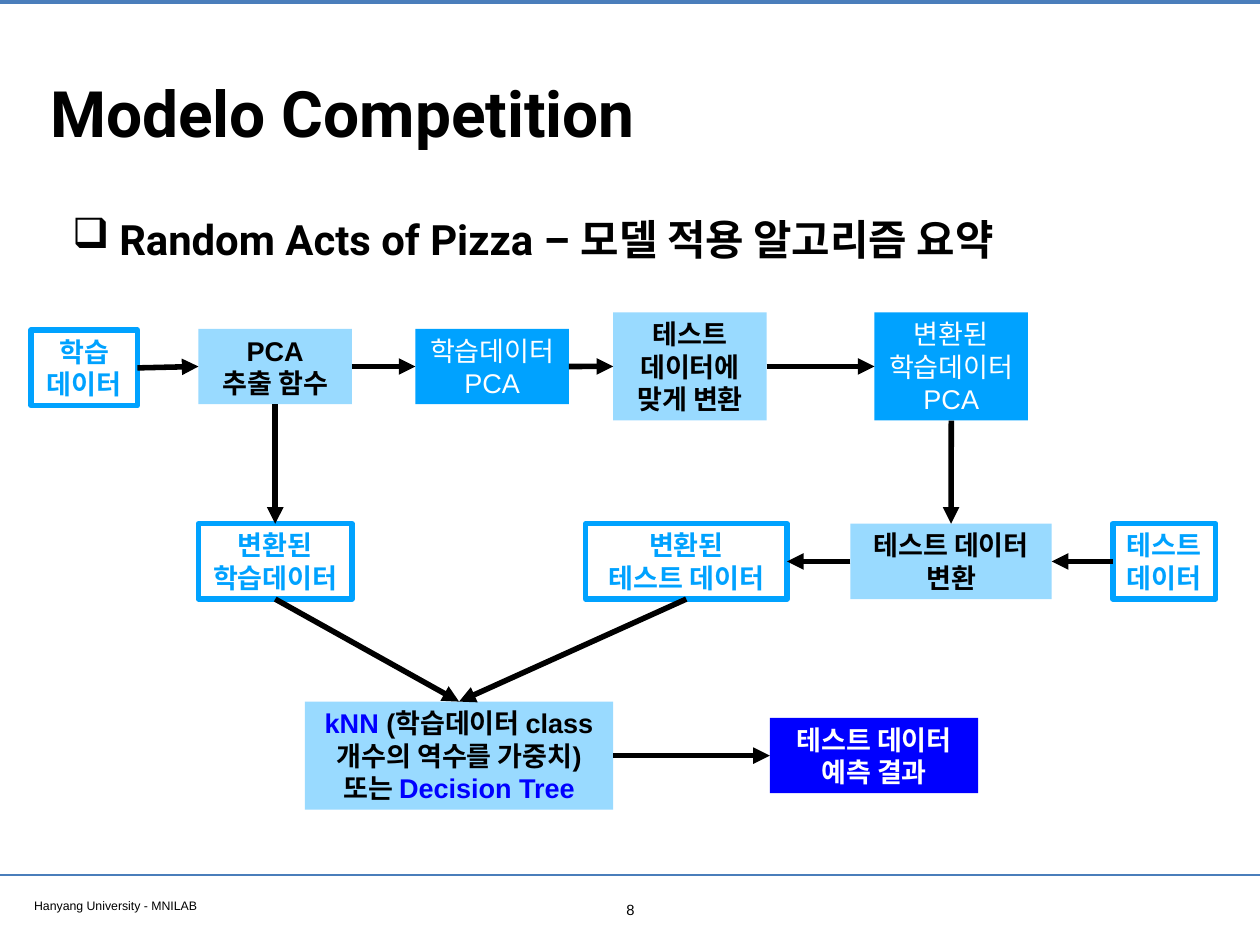
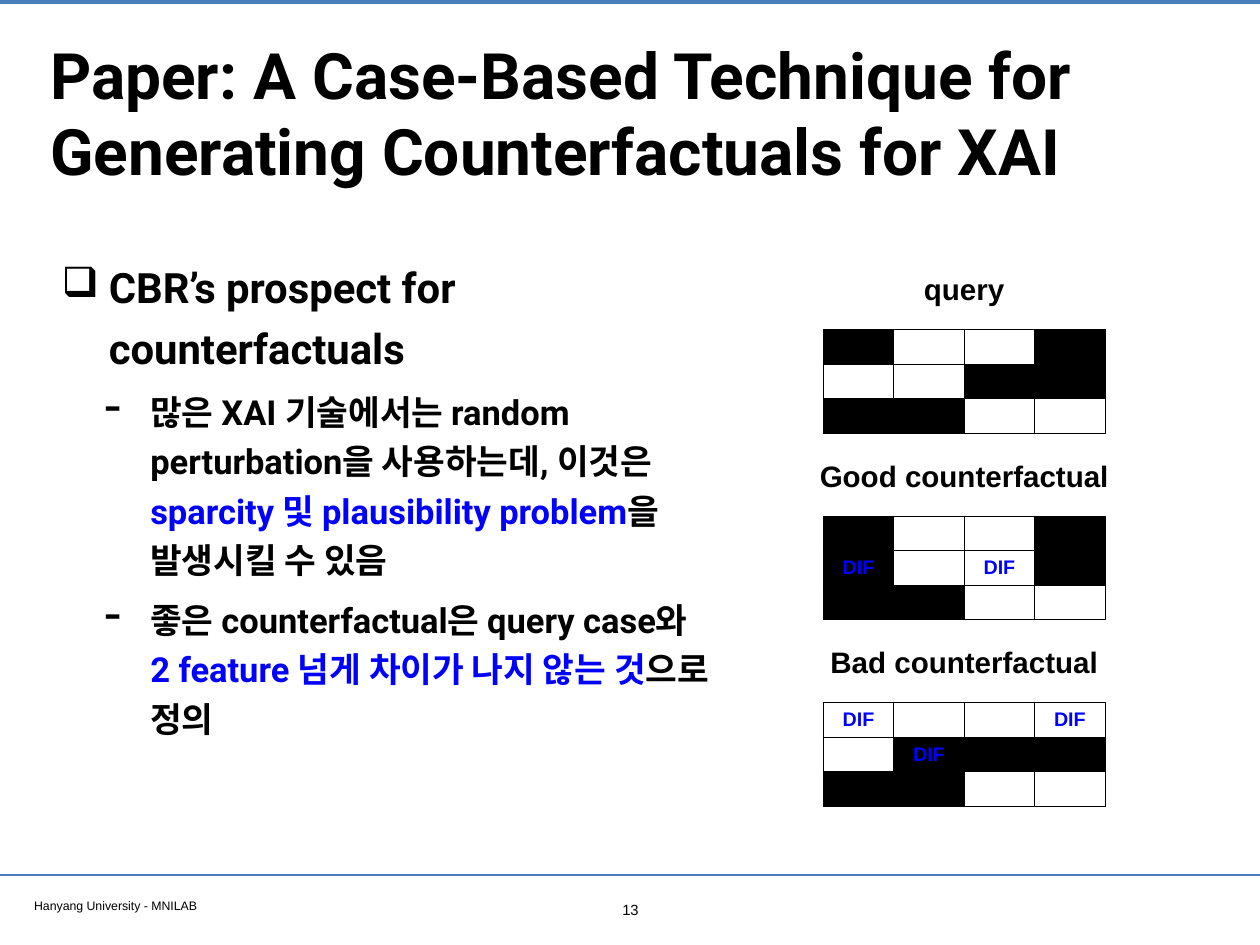
"""Build two lecture slides: a flow chart of a model and a counterfactual comparison."""
from typing import NamedTuple

from lxml.etree import SubElement
from pptx import Presentation
from pptx.dml.color import RGBColor
from pptx.enum.shapes import MSO_CONNECTOR as Connector, MSO_SHAPE as Preset
from pptx.enum.text import MSO_ANCHOR as Anchor, PP_ALIGN as Align
from pptx.oxml.ns import qn
from pptx.util import Cm, Pt

WIDTH, HEIGHT = 36.12, 27.1
INSET = 0.14
BLACK, WHITE, BLUE = "000000", "FFFFFF", "0000FF"
SKY, PALE, RULE = "00A2FF", "99DAFF", "4A7EBB"
BODY_FONT, LABEL_FONT = "Roboto", "Arial"
TOP, LEFT, BOTTOM, RIGHT = range(4)


class Style(NamedTuple):
    fill: str
    color: str
    bold: bool = True
    outline: str | None = None


class Box(NamedTuple):
    name: str
    text: str
    style: Style
    left: float
    middle: float
    width: float
    height: float = 2.16


class Arrow(NamedTuple):
    start: str
    start_side: int
    end: str
    end_side: int


class Bullet(NamedTuple):
    char: str
    margin: float
    hang: float
    percent: int = 100


class Grid(NamedTuple):
    label: str
    rows: tuple[str, ...]


DATA = Style(WHITE, SKY, outline=SKY)
STEP = Style(PALE, BLACK)
INTERIM = Style(SKY, WHITE, bold=False)
RESULT = Style(BLUE, WHITE)

ROW_1, ROW_2, ROW_3 = 10.51, 16.1, 21.67
TALL = 3.1
BOXES = (
    Box("train", "학습\n데이터", DATA, 0.89, 10.55, 3.05),
    Box("pca", "PCA\n추출 함수", STEP, 5.69, ROW_1, 4.4),
    Box("train_pca", "학습데이터\nPCA", INTERIM, 11.91, ROW_1, 4.4),
    Box("fit", "테스트 데이터에 맞게 변환", STEP, 17.58, ROW_1, 4.4, TALL),
    Box("new_pca", "변환된\n학습데이터\nPCA", INTERIM, 25.07, ROW_1, 4.4, TALL),
    Box("new_train", "변환된\n학습데이터", DATA, 5.69, ROW_2, 4.4),
    Box("new_test", "변환된\n테스트 데이터", DATA, 16.79, ROW_2, 5.77),
    Box("transform", "테스트 데이터\n변환", STEP, 24.38, ROW_2, 5.77),
    Box("test", "테스트\n데이터", DATA, 31.9, ROW_2, 2.95),
    Box("model", "|kNN |(학습데이터 class 개수의 역수를 가중치)\n또는 |Decision Tree|",
        STEP, 8.74, ROW_3, 8.84, TALL),
    Box("result", "테스트 데이터\n예측 결과", RESULT, 22.07, ROW_3, 5.97),
)
ARROWS = (
    Arrow("train", RIGHT, "pca", LEFT),
    Arrow("pca", RIGHT, "train_pca", LEFT),
    Arrow("train_pca", RIGHT, "fit", LEFT),
    Arrow("fit", RIGHT, "new_pca", LEFT),
    Arrow("pca", BOTTOM, "new_train", TOP),
    Arrow("new_pca", BOTTOM, "transform", TOP),
    Arrow("test", LEFT, "transform", RIGHT),
    Arrow("transform", LEFT, "new_test", RIGHT),
    Arrow("new_train", BOTTOM, "model", TOP),
    Arrow("new_test", BOTTOM, "model", TOP),
    Arrow("model", RIGHT, "result", LEFT),
)

TOPIC = Bullet("❑", 1.35, 1.35)
POINT = Bullet("-", 2.54, 1.32, 145)
POINTS = (
    "많은 XAI 기술에서는 random perturbation을 사용하는데, 이것은 "
    "|sparcity 및 plausibility problem|을 발생시킬 수 있음\n"
    "좋은 counterfactual은 query case와 |2 feature 넘게 차이가 나지 않는 것|으로 정의"
)

GRIDS = (
    Grid("query", ("#..#", "..##", "##..")),
    Grid("Good counterfactual", ("#..#", "X.D#", "##..")),
    Grid("Bad counterfactual", ("D..D", ".X##", "##..")),
)
GRID_LEFT, GRID_TOP, GRID_STEP = 23.6, 9.45, 5.35
CELL_WIDTH, CELL_HEIGHT = 2.02, 0.99


def rgb(color: str) -> RGBColor:
    return RGBColor.from_string(color)


def write(frame, text: str, *, size: float, font: str = LABEL_FONT, color: str = BLACK,
          bold: bool = False, align: Align = Align.LEFT, bullet: Bullet | None = None,
          append: bool = False) -> None:
    for index, line in enumerate(text.split("\n")):
        first = index == 0 and not append
        para = frame.paragraphs[0] if first else frame.add_paragraph()
        para.alignment = align
        if bullet:
            add_bullet(para, bullet)
            para.line_spacing = 1.2
            if not first:
                para.space_before = Pt(8)
        for part, words in enumerate(line.split("|")):
            if words:
                span = para.add_run()
                span.text = words
                span.font.name, span.font.size, span.font.bold = font, Pt(size), bold
                span.font.color.rgb = rgb(BLUE if part % 2 else color)


def add_bullet(para, bullet: Bullet) -> None:
    props = para._p.get_or_add_pPr()
    props.set("marL", str(Cm(bullet.margin)))
    props.set("indent", str(-Cm(bullet.hang)))
    SubElement(props, qn("a:buSzPct"), val=str(bullet.percent * 1000))
    SubElement(props, qn("a:buChar"), char=bullet.char)


def set_frame(frame, anchor: Anchor) -> None:
    frame.word_wrap = True
    frame.vertical_anchor = anchor
    frame.margin_left = frame.margin_right = Cm(INSET)
    frame.margin_top = frame.margin_bottom = Cm(INSET)


def add_text(page, left: float, top: float, width: float, height: float, text: str, *,
             anchor: Anchor = Anchor.TOP, **text_format):
    frame = page.shapes.add_textbox(Cm(left), Cm(top), Cm(width), Cm(height)).text_frame
    set_frame(frame, anchor)
    write(frame, text, **text_format)
    return frame


def add_line(page, start: tuple[float, float], end: tuple[float, float], *,
             color: str, weight: float):
    line = page.shapes.add_connector(
        Connector.STRAIGHT, *(Cm(value) for value in (*start, *end)))
    line.line.color.rgb = rgb(color)
    line.line.width = Pt(weight)
    SubElement(line._element.spPr, qn("a:effectLst"))
    return line


def add_page(deck, title: str, number: int):
    page = deck.slides.add_slide(deck.slide_layouts[6])
    for height, weight in ((0.05, 3.2), (25.1, 2)):
        add_line(page, (0, height), (WIDTH, height), color=RULE, weight=weight)
    add_text(page, 0.84, 25.63, 13.87, 0.66, "Hanyang University - MNILAB", size=10)
    add_text(page, 17.58, 25.7, 0.99, 0.79, str(number), size=12, align=Align.CENTER)
    add_text(page, 1.3, 0.71, 33.55, 5, title, size=52, font=BODY_FONT, bold=True,
             anchor=Anchor.MIDDLE)
    return page


def add_box(page, box: Box):
    shape = page.shapes.add_shape(
        Preset.RECTANGLE, Cm(box.left), Cm(box.middle - box.height / 2),
        Cm(box.width), Cm(box.height))
    shape.shadow.inherit = False
    shape.fill.solid()
    shape.fill.fore_color.rgb = rgb(box.style.fill)
    if box.style.outline:
        shape.line.color.rgb = rgb(box.style.outline)
        shape.line.width = Pt(4.5)
    else:
        shape.line.fill.background()
    set_frame(shape.text_frame, Anchor.MIDDLE)
    write(shape.text_frame, box.text, size=22, color=box.style.color,
          bold=box.style.bold, align=Align.CENTER)
    return shape


def add_arrow(page, shapes: dict, arrow: Arrow) -> None:
    line = add_line(page, (0, 0), (1, 1), color=BLACK, weight=4.5)
    line.begin_connect(shapes[arrow.start], arrow.start_side)
    line.end_connect(shapes[arrow.end], arrow.end_side)
    SubElement(line._element.spPr.find(qn("a:ln")), qn("a:tailEnd"), type="triangle")


def format_cell(cell, mark: str) -> None:
    props = cell._tc.get_or_add_tcPr()
    for side in ("a:lnL", "a:lnR", "a:lnT", "a:lnB"):
        border = SubElement(props, qn(side), w=str(Pt(1)))
        SubElement(SubElement(border, qn("a:solidFill")), qn("a:srgbClr"), val=BLACK)
    cell.fill.solid()
    cell.fill.fore_color.rgb = rgb(BLACK if mark in "#X" else WHITE)
    cell.margin_top = cell.margin_bottom = 0
    cell.vertical_anchor = Anchor.MIDDLE
    if mark in "DX":
        write(cell.text_frame, "DIF", size=16, color=BLUE, bold=True, align=Align.CENTER)


def add_grid(page, grid: Grid, top: float) -> None:
    row_count, column_count = len(grid.rows), len(grid.rows[0])
    width = CELL_WIDTH * column_count
    add_text(page, GRID_LEFT - 0.4, top - 1.83, width + 0.8, 1.32, grid.label, size=24,
             bold=True, align=Align.CENTER, anchor=Anchor.MIDDLE)
    table = page.shapes.add_table(
        row_count, column_count, Cm(GRID_LEFT), Cm(top), Cm(width),
        Cm(CELL_HEIGHT * row_count)).table
    table.first_row = table.horz_banding = False
    for row, marks in enumerate(grid.rows):
        for column, mark in enumerate(marks):
            format_cell(table.cell(row, column), mark)


def add_flow_page(deck) -> None:
    page = add_page(deck, "Modelo Competition", 8)
    add_text(page, 1.93, 5.69, 30.4, 3.63, "Random Acts of Pizza – 모델 적용 알고리즘 요약",
             size=34, font=BODY_FONT, bold=True, bullet=TOPIC)
    shapes = {box.name: add_box(page, box) for box in BOXES}
    for arrow in ARROWS:
        add_arrow(page, shapes, arrow)


def add_paper_page(deck) -> None:
    page = add_page(
        deck, "Paper: A Case-Based Technique for Generating Counterfactuals for XAI", 13)
    frame = add_text(page, 1.63, 7.09, 18.85, 16.03, "CBR’s prospect for counterfactuals",
                     size=34, font=BODY_FONT, bold=True, bullet=TOPIC)
    write(frame, POINTS, size=28, font=BODY_FONT, bold=True, bullet=POINT, append=True)
    for index, grid in enumerate(GRIDS):
        add_grid(page, grid, GRID_TOP + index * GRID_STEP)


def main() -> None:
    deck = Presentation()
    deck.slide_width, deck.slide_height = Cm(WIDTH), Cm(HEIGHT)
    add_flow_page(deck)
    add_paper_page(deck)
    deck.save("out.pptx")


if __name__ == "__main__":
    main()
